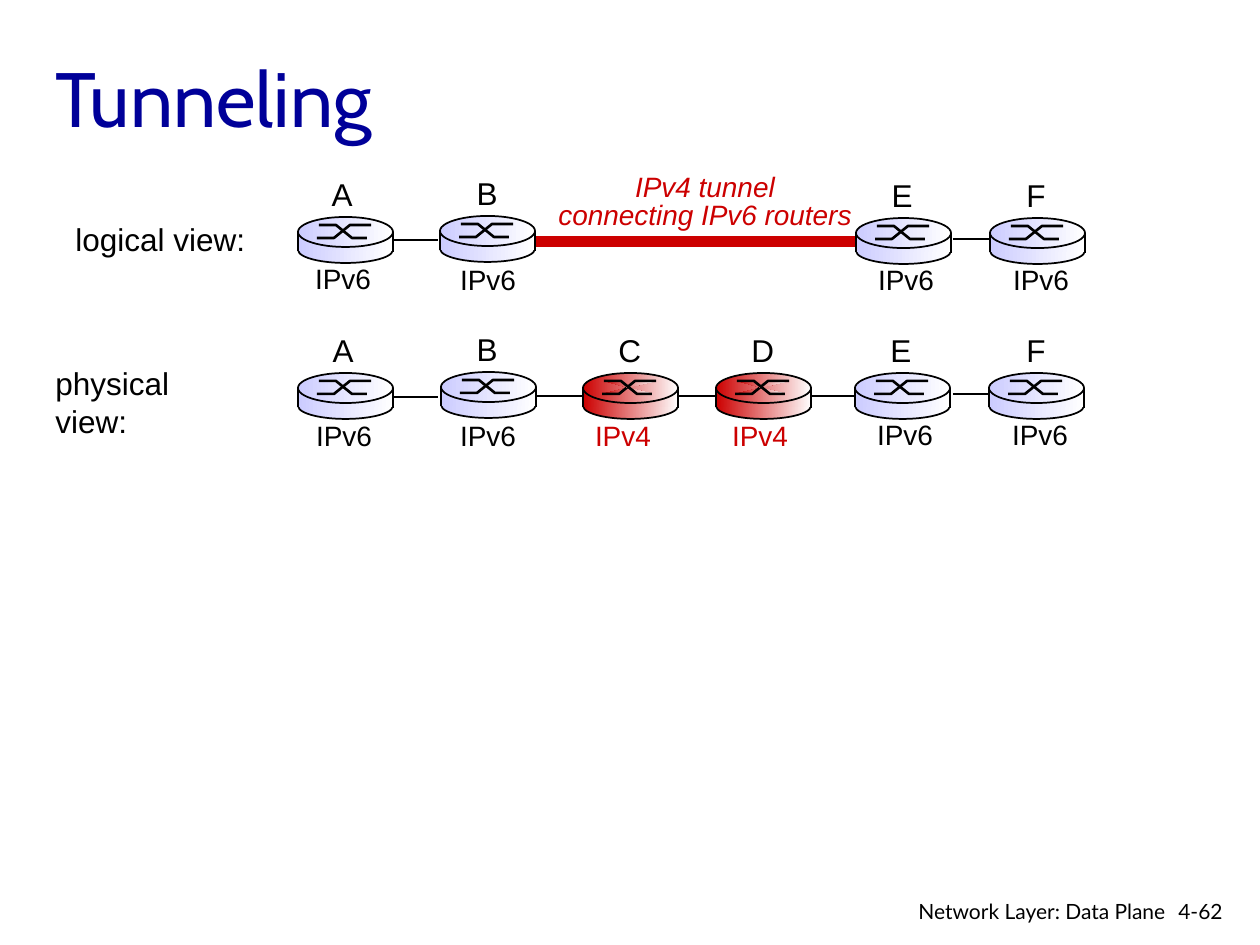
from lxml import etree
from pptx import Presentation
from pptx.dml.color import RGBColor
from pptx.enum.shapes import MSO_CONNECTOR, MSO_SHAPE
from pptx.enum.text import MSO_ANCHOR, MSO_AUTO_SIZE, PP_ALIGN
from pptx.oxml.ns import qn
from pptx.util import Emu, Pt

ELLIPSE, RECT = MSO_SHAPE.OVAL, MSO_SHAPE.RECTANGLE
STRAIGHT = MSO_CONNECTOR.STRAIGHT
LEFT, CENTER, RIGHT = PP_ALIGN.LEFT, PP_ALIGN.CENTER, PP_ALIGN.RIGHT
TOP, MIDDLE = MSO_ANCHOR.TOP, MSO_ANCHOR.MIDDLE
FIT = MSO_AUTO_SIZE.SHAPE_TO_FIT_TEXT

BLACK, WHITE, NAVY, RED, LILAC = "000000", "FFFFFF", "000099", "CC0000", "CCCCFF"

# Content: name, version, router left, router top, name centre, version centre, version top
LOGICAL_ROUTERS = [
    ("A", "IPv6", 298, 217, 342, 343, 255),
    ("B", "IPv6", 440, 216, 487, 488, 256),
    ("E", "IPv6", 856, 218, 902, 906, 256),
    ("F", "IPv6", 990, 218, 1036, 1041, 256),
]
PHYSICAL_ROUTERS = [
    ("A", "IPv6", 298, 373, 343, 344, 412),
    ("B", "IPv6", 441, 372, 487, 488, 412),
    ("C", "IPv4", 583, 373, 629, 623, 412),
    ("D", "IPv4", 716, 373, 762, 760, 412),
    ("E", "IPv6", 855, 373, 901, 905, 411),
    ("F", "IPv6", 989, 373, 1036, 1040, 411),
]
VERSION_COLORS = {"IPv6": (LILAC, BLACK), "IPv4": (RED, RED)}  # body, label
ROW_LABELS = [("logical view:", 63, 214, 195), ("physical view:", 43, 358, 219)]
LINKS = [(394, 438, 240), (953, 997, 239),
         (394, 438, 397), (537, 857, 396), (953, 997, 394)]  # from x, to x, y
TUNNEL_LINES = ["IPv4 tunnel", "connecting IPv6 routers"]

# Router drawing, relative to its top left corner
DISC_W = 95
CROSSING = [[(19, 21), (36, 21), (52, 8), (73, 8)],
            [(21, 8), (38, 8), (54, 21), (69, 21)]]
SIDES = [(0, 14, 34), (DISC_W, 15, 35)]  # x, from y, to y
NAME_RISE = 48


def px(length):
    return Emu(round(length * 914400 / 126))


def color(hex_string):
    return RGBColor.from_string(hex_string)


prs = Presentation()
prs.slide_width, prs.slide_height = px(1260), px(945)
slide = prs.slides.add_slide(prs.slide_layouts[6])


def add_text(lines, x, y, w, h, size, hex_color=BLACK, font="Arial", align=LEFT,
             anchor=TOP, wrap=False, italic=False, spacing=None):
    frame = slide.shapes.add_textbox(px(x), px(y), px(w), px(h)).text_frame
    frame.word_wrap = wrap
    if not wrap:
        frame.auto_size = FIT
    frame.vertical_anchor = anchor
    frame.text = "\n".join(lines)
    for paragraph in frame.paragraphs:
        paragraph.alignment = align
        if spacing:
            paragraph.line_spacing = spacing
        for run in paragraph.runs:
            run.font.name, run.font.size = font, Pt(size)
            run.font.italic = italic
            run.font.color.rgb = color(hex_color)


def add_line(shapes, x1, y1, x2, y2, width):
    line = shapes.add_connector(STRAIGHT, px(x1), px(y1), px(x2), px(y2))
    line.line.color.rgb = color(BLACK)
    line.line.width = Pt(width)
    etree.SubElement(line._element.spPr, qn("a:effectLst"))


def style(shape, body, line_width):
    """Fill left to right from the body colour to white, or not at all."""
    shape.shadow.inherit = False
    if body:
        shape.fill.gradient()
        shape.fill.gradient_angle = 0
        for stop, position, shade in zip(shape.fill.gradient_stops, (0, 1), (body, WHITE)):
            stop.position = position
            stop.color.rgb = color(shade)
    else:
        shape.fill.background()
    if line_width:
        shape.line.color.rgb = color(BLACK)
        shape.line.width = Pt(line_width)
    else:
        shape.line.fill.background()


def add_router(name, version, x, y, name_x, version_x, version_y):
    body, label = VERSION_COLORS[version]
    parts = slide.shapes.add_group_shape().shapes
    # Bottom disc, wall and top disc
    for kind, dy, w, h, line_width in [(ELLIPSE, 20, DISC_W, 26, 1),
                                       (RECT, 18, DISC_W + 1, 16, 0),
                                       (ELLIPSE, 0, DISC_W, 30, 1)]:
        style(parts.add_shape(kind, px(x), px(y + dy), px(w), px(h)), body, line_width)
    for points in CROSSING:
        start, *rest = [(px(x + dx), px(y + dy)) for dx, dy in points]
        builder = parts.build_freeform(*start)
        builder.add_line_segments(rest, close=False)
        style(builder.convert_to_shape(), body if version == "IPv4" else None, 1.5)
    for dx, y1, y2 in SIDES:
        add_line(parts, x + dx, y + y1, x + dx, y + y2, 1)
    # Name above, version below
    add_text([name], name_x - 23, y - NAME_RISE, 46, 50, 18, align=CENTER)
    add_text([version], version_x - 41, version_y, 82, 47, 16, label, align=CENTER)


# Title and row labels
add_text(["Tunneling"], 43, 29, 1071, 136, 44, NAVY, "Cabin", anchor=MIDDLE, wrap=True)
for label, x, y, w in ROW_LABELS:
    add_text([label], x, y, w, 50, 18)

# Links and tunnel, behind the routers
for x1, x2, y in LINKS:
    add_line(slide.shapes, x1, y, x2, y, 1.5)
tunnel = slide.shapes.add_shape(RECT, px(530), px(237), px(331), px(9))
tunnel.shadow.inherit = False
tunnel.fill.solid()
tunnel.fill.fore_color.rgb = color(RED)
tunnel.line.color.rgb = color(RED)
tunnel.line.width = Pt(0.75)
add_text(TUNNEL_LINES, 545, 168, 320, 71, 16, RED, align=CENTER, italic=True, spacing=0.85)

# Routers
for router in LOGICAL_ROUTERS + PHYSICAL_ROUTERS:
    add_router(*router)

# Footer
add_text(["4-62"], 1166, 892, 77, 38, 12, font="Lato", wrap=True)
add_text(["Network Layer: Data Plane"], 878, 892, 300, 33, 12, font="Lato",
         align=RIGHT, wrap=True)

prs.save("out.pptx")
